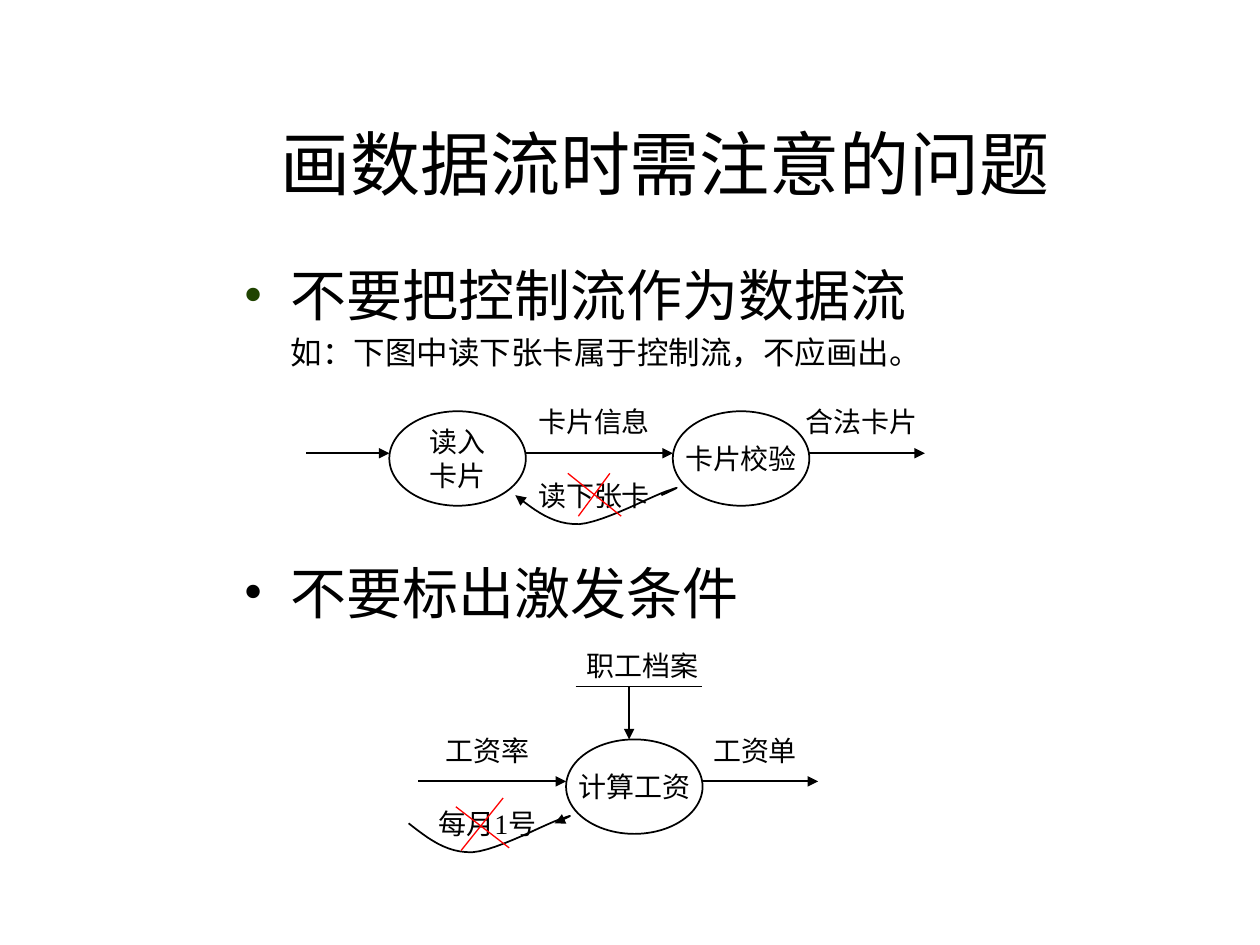
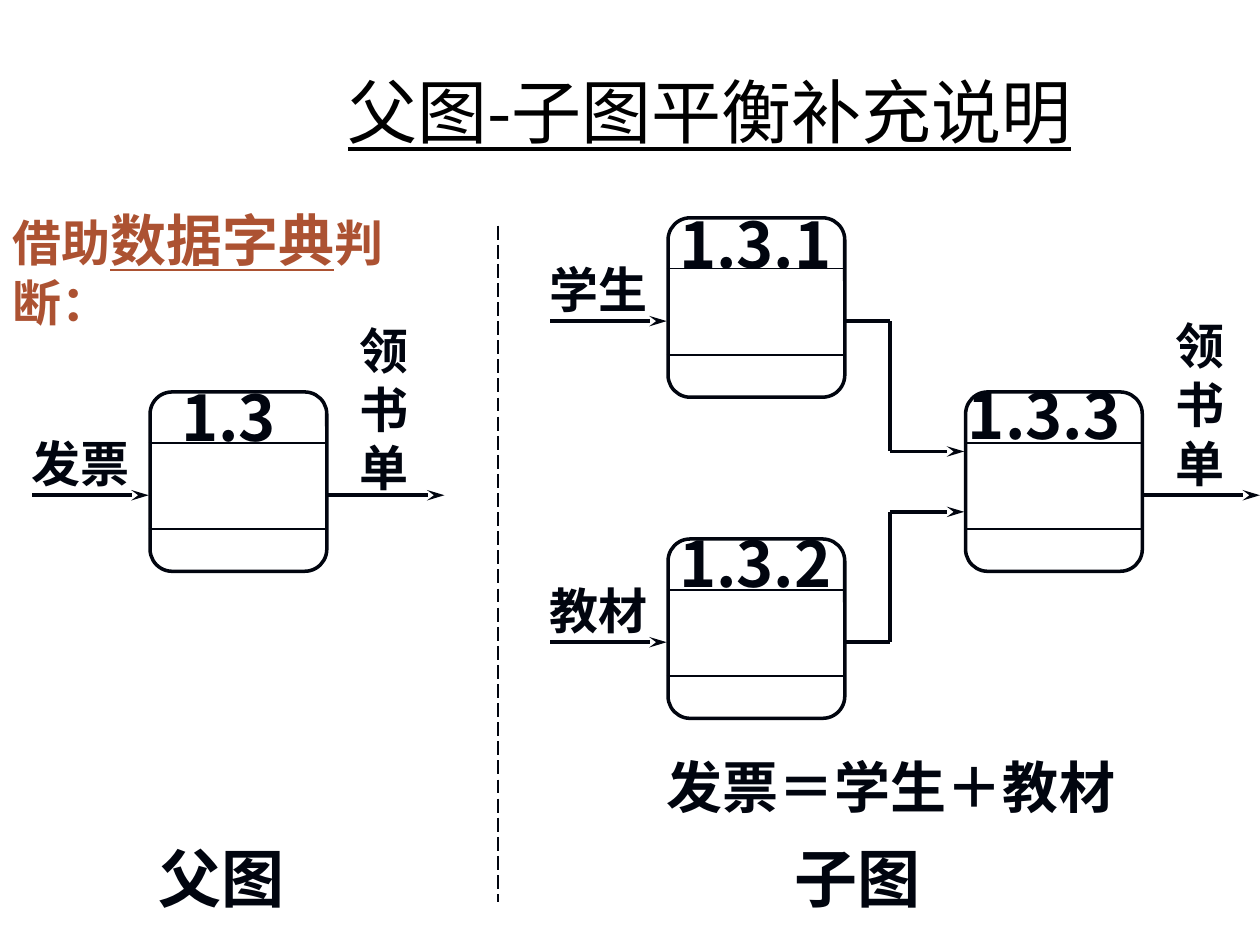
import pptx
import pptx.util
import pptx.dml.color
import pptx.enum.dml
import pptx.enum.shapes
import pptx.enum.text
import pptx.oxml
import pptx.oxml.ns

Pt = pptx.util.Pt
ANCHOR = pptx.enum.text.MSO_ANCHOR
ALIGN = pptx.enum.text.PP_ALIGN
SHAPE = pptx.enum.shapes.MSO_SHAPE

SANS = "Noto Sans CJK SC"
SERIF = "Times New Roman"
COLORS = {
    "black": "000000",
    "ink": "01050F",
    "red": "FF0000",
    "rust": "AC5232",
    "green": "1F4300",
}
FONTS = {
    "title": {"size": Pt(40), "name": SANS},
    "underlined title": {"size": Pt(40), "name": SANS, "underline": True},
    "topic": {"size": Pt(32), "name": SANS},
    "example": {"size": Pt(18), "name": SERIF},
    "flow": {"size": Pt(16), "name": SERIF},
    "number": {"size": Pt(36), "name": SANS, "bold": True},
    "bold flow": {"size": Pt(28), "name": SANS, "bold": True},
    "equation": {"size": Pt(32), "name": SANS, "bold": True},
    "hint": {"size": Pt(28), "name": SERIF, "bold": True},
    "hint key": {"size": Pt(32), "name": SERIF, "bold": True, "underline": True},
}
CENTERED = {"vertical_anchor": ANCHOR.MIDDLE, "word_wrap": False}
WRAPPED = {"vertical_anchor": ANCHOR.TOP, "word_wrap": True}
UNWRAPPED = {"vertical_anchor": ANCHOR.TOP, "word_wrap": False}

ELLIPSE_WIDTH, ELLIPSE_HEIGHT = 78, 54
LABEL_HEIGHT = 36
PROCESS_WIDTH, PROCESS_HEIGHT = 102.5, 102.5
FLOW_LENGTH, FLOW_DROP = 66.5, 59
CONTROL_CURVE = [
    [(0, 6), (11, 14.5), (21.5, 23), (36.5, 22.5)],
    [(36.5, 22.5), (51, 21.5), (80.5, 5), (88.5, 3)],
    [(88.5, 3), (96.5, 0), (90, 3), (83.5, 6)],
]
TRIANGLE = {"type": "triangle"}
STEALTH = {"type": "stealth", "len": "lg"}


def rgb(color):
    return pptx.dml.color.RGBColor.from_string(COLORS[color])


def apply(target, values):
    for name, value in values.items():
        setattr(target, name, value)


def add_drawing_element(parent, tag, **attributes):
    element = pptx.oxml.parse_xml(f"<a:{tag} {pptx.oxml.ns.nsdecls('a')}/>")
    for name, value in attributes.items():
        element.set(name, value)
    parent.append(element)
    return element


def add_run(paragraph, text, font, color):
    run = paragraph.add_run()
    run.text = text
    apply(run.font, FONTS[font])
    run.font.color.rgb = rgb(color)
    add_drawing_element(run._r.get_or_add_rPr(), "ea", typeface=SANS)


def write_lines(frame, lines, font, color, layout, align=ALIGN.LEFT):
    apply(frame, layout)
    for index, line in enumerate(lines):
        paragraph = frame.add_paragraph() if index else frame.paragraphs[0]
        paragraph.alignment = align
        add_run(paragraph, line, font, color)


def add_title_slide(deck, title, font, left, top):
    slide = deck.slides.add_slide(deck.slide_layouts[5])
    heading = slide.shapes.title
    apply(heading, {"left": Pt(left), "top": Pt(top), "width": Pt(570), "height": Pt(90)})
    heading.text_frame.auto_size = pptx.enum.text.MSO_AUTO_SIZE.NONE
    write_lines(heading.text_frame, [title], font, "black",
                {"vertical_anchor": ANCHOR.MIDDLE, "word_wrap": True}, ALIGN.CENTER)
    return slide


def add_frame(slide, left, top, width, height):
    return slide.shapes.add_textbox(Pt(left), Pt(top), Pt(width), Pt(height)).text_frame


def add_caption(slide, text, font, left, top, width):
    write_lines(add_frame(slide, left, top, width, 50), [text], font, "ink", WRAPPED)


def set_outline(shape, color, width, **arrows):
    shape.line.color.rgb = rgb(color)
    shape.line.width = Pt(width)
    outline = shape.element.spPr.find(pptx.oxml.ns.qn("a:ln"))
    for tag, arrow in arrows.items():
        add_drawing_element(outline, tag, **arrow)


def add_line(slide, start, end, color="black", width=1, dash=None, **arrows):
    line = slide.shapes.add_connector(
        pptx.enum.shapes.MSO_CONNECTOR.STRAIGHT, *(Pt(v) for v in (*start, *end)))
    line.line.dash_style = dash
    set_outline(line, color, width, **arrows)
    add_drawing_element(line.element.spPr, "effectLst")


def add_hollow_shape(slide, kind, left, top, width, height):
    shape = slide.shapes.add_shape(kind, Pt(left), Pt(top), Pt(width), Pt(height))
    shape.shadow.inherit = False
    shape.fill.background()
    return shape


def add_label(slide, text, left, top, width):
    label = add_hollow_shape(slide, SHAPE.FLOWCHART_PROCESS, left, top, width, LABEL_HEIGHT)
    label.line.fill.background()
    write_lines(label.text_frame, [text], "flow", "black", CENTERED, ALIGN.CENTER)


def add_ellipse(slide, lines, left, top):
    ellipse = add_hollow_shape(slide, SHAPE.OVAL, left, top, ELLIPSE_WIDTH, ELLIPSE_HEIGHT)
    set_outline(ellipse, "black", 1)
    write_lines(ellipse.text_frame, lines, "flow", "black", CENTERED, ALIGN.CENTER)


def bezier_point(controls, t):
    weights = ((1 - t) ** 3, 3 * t * (1 - t) ** 2, 3 * t * t * (1 - t), t ** 3)
    return tuple(sum(w * p[axis] for w, p in zip(weights, controls)) for axis in (0, 1))


def add_control_curve(slide, left, top, **arrows):
    steps = 12
    points = [CONTROL_CURVE[0][0]]
    for controls in CONTROL_CURVE:
        points += [bezier_point(controls, step / steps) for step in range(1, steps + 1)]
    placed = [(Pt(left + x), Pt(top + y)) for x, y in points]
    builder = slide.shapes.build_freeform(*placed[0])
    builder.add_line_segments(placed[1:], close=False)
    curve = builder.convert_to_shape()
    curve.shadow.inherit = False
    curve.fill.background()
    set_outline(curve, "black", 1, **arrows)


def add_topics(slide):
    frame = add_frame(slide, 132, 145.5, 498, 240)
    frame.word_wrap = True
    topics = [
        ("不要把控制流作为数据流", "topic", "green", {}),
        ("如：下图中读下张卡属于控制流，不应画出。", "example", None,
         {"line_spacing": 0.9, "space_before": Pt(5)}),
        ("不要标出激发条件", "topic", "black", {"space_before": Pt(107)}),
    ]
    for index, (text, font, bullet, spacing) in enumerate(topics):
        paragraph = frame.add_paragraph() if index else frame.paragraphs[0]
        apply(paragraph, spacing)
        properties = paragraph._p.get_or_add_pPr()
        properties.set("marL", str(Pt(27)))
        if bullet:
            properties.set("indent", str(-Pt(27)))
            tint = add_drawing_element(properties, "buClr")
            add_drawing_element(tint, "srgbClr", val=COLORS[bullet])
            add_drawing_element(properties, "buFont", typeface=SERIF)
            add_drawing_element(properties, "buChar", char="•")
        add_run(paragraph, text, font, "black")


def add_process(slide, number, left, top, number_dx, number_dy):
    box = add_hollow_shape(slide, SHAPE.ROUNDED_RECTANGLE, left + 0.75, top,
                           PROCESS_WIDTH - 1.5, PROCESS_HEIGHT)
    set_outline(box, "ink", 2)
    box.adjustments[0] = 0.125
    for row in (29, 78.5):
        add_line(slide, (left, top + row), (left + PROCESS_WIDTH, top + row), "ink")
    add_caption(slide, number, "number", left + number_dx, top + number_dy, 140)


def add_inflow(slide, text, left, top):
    y = top + FLOW_DROP
    add_line(slide, (left - FLOW_LENGTH, y), (left, y), "ink", 2, tailEnd=STEALTH)
    add_caption(slide, text, "bold flow", left - 74, top + 20, 86)


def add_outflow(slide, text, left, top, label_top):
    x, y = left + PROCESS_WIDTH, top + FLOW_DROP
    add_line(slide, (x, y), (x + FLOW_LENGTH, y), "ink", 2, tailEnd=STEALTH)
    frame = add_frame(slide, x + 11, label_top, 42.5, 108)
    write_lines(frame, list(text), "bold flow", "ink", UNWRAPPED)


def build_flow_cautions(deck):
    slide = add_title_slide(deck, "画数据流时需注意的问题", "title", 95, 48)
    add_topics(slide)

    for lines, left, top in [
        (["读入", "卡片"], 222.5, 235),
        (["卡片校验"], 384.5, 235),
        (["计算工资"], 323.5, 422.5),
    ]:
        add_ellipse(slide, lines, left, top)

    for start_x, end_x, y in [
        (175, 222.5, 259), (300.5, 384.5, 259), (462.5, 528.5, 259),
        (239, 323.5, 446.5), (401.5, 467.5, 446.5),
    ]:
        add_line(slide, (start_x, y), (end_x, y), tailEnd=TRIANGLE)
    add_line(slide, (329, 392.5), (401, 392.5), width=0.75)
    add_line(slide, (359.5, 392.5), (359.5, 422.5), width=0.75, tailEnd=TRIANGLE)

    add_control_curve(slide, 294.5, 277, headEnd=TRIANGLE)
    add_control_curve(slide, 233.5, 464.5, tailEnd=TRIANGLE)

    for text, left, top, width in [
        ("卡片信息", 312.5, 223, 54), ("合法卡片", 456.5, 223, 72),
        ("读下张卡", 312.5, 265, 54), ("职工档案", 331, 362, 72),
        ("工资率", 251.5, 410.5, 54), ("工资单", 395.5, 410.5, 72),
        ("每月1号", 251.5, 452.5, 54),
    ]:
        add_label(slide, text, left, top, width)

    for start, end in [
        ((348.5, 270.5), (330.5, 295)), ((324.5, 270.5), (355, 295)),
        ((287.5, 456), (263.5, 486)), ((260.5, 461), (291, 484.5)),
    ]:
        add_line(slide, start, end, "red", 0.75)


def build_diagram_balance(deck):
    slide = add_title_slide(deck, "父图-子图平衡补充说明", "underlined title", 120.5, 18)
    parent_x, source_x, target_x = 85, 381, 551
    middle_y, student_y, textbook_y = 224, 124.5, 308

    add_process(slide, "1.3", parent_x, middle_y, 11.5, -11.5)
    add_process(slide, "1.3.1", source_x, student_y, 0, -10.5)
    add_process(slide, "1.3.2", source_x, textbook_y, 0, -12)
    add_process(slide, "1.3.3", target_x, middle_y, -5, -12.5)
    add_inflow(slide, "发票", parent_x, middle_y)
    add_inflow(slide, "学生", source_x, student_y)
    add_inflow(slide, "教材", source_x, textbook_y)
    add_outflow(slide, "领书单", parent_x, middle_y, 179.5)
    add_outflow(slide, "领书单", target_x, middle_y, 177)

    bend_x = 508.5
    for source_y, entry_y in [(student_y, 258), (textbook_y, 292.5)]:
        exit_y = source_y + FLOW_DROP
        add_line(slide, (source_x + PROCESS_WIDTH, exit_y), (bend_x, exit_y), "ink", 2)
        add_line(slide, (bend_x, exit_y), (bend_x, entry_y), "ink", 2)
        add_line(slide, (bend_x, entry_y), (target_x, entry_y), "ink", 2, tailEnd=STEALTH)

    add_line(slide, (284.5, 129), (284.5, 515.5), "ink", 1,
             pptx.enum.dml.MSO_LINE.LONG_DASH)
    add_caption(slide, "父图", "number", 83.5, 476, 116)
    add_caption(slide, "子图", "number", 447, 476, 116)
    add_caption(slide, "发票＝学生＋教材", "equation", 374, 426.5, 286)

    hint = add_frame(slide, 0, 114, 270, 46)
    hint.word_wrap = True
    hint.paragraphs[0]._p.get_or_add_pPr().set("hangingPunct", "0")
    for text, font in [("借助", "hint"), ("数据字典", "hint key"), ("判断：", "hint")]:
        add_run(hint.paragraphs[0], text, font, "rust")


def main():
    deck = pptx.Presentation()
    deck.slide_width, deck.slide_height = Pt(720), Pt(540)
    build_flow_cautions(deck)
    build_diagram_balance(deck)
    deck.save("out.pptx")


if __name__ == "__main__":
    main()
